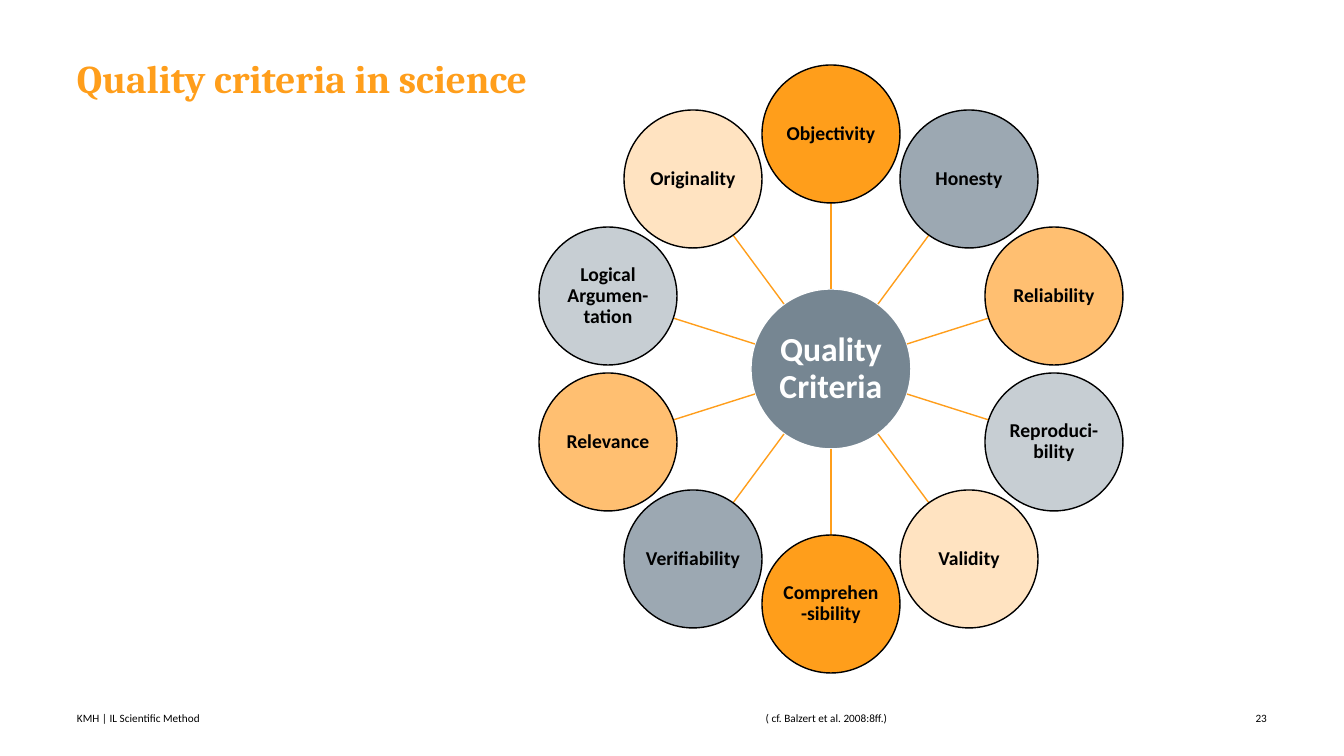
import math

import lxml.etree
import pptx
import pptx.dml.color
import pptx.enum.shapes
import pptx.enum.text
import pptx.oxml.ns
import pptx.util

ALIGN = pptx.enum.text.PP_ALIGN
ANCHOR = pptx.enum.text.MSO_ANCHOR
ORANGE = "FF9E1B"
SLATE = "768692"
BLACK = "000000"
WHITE = "FFFFFF"

CRITERIA = [
    "Objectivity",
    "Honesty",
    "Reliability",
    "Reproduci-bility",
    "Validity",
    "Comprehen-sibility",
    "Verifiability",
    "Relevance",
    "Logical Argumen-tation",
    "Originality",
]
CRITERION_FILLS = [ORANGE, "9CA8B2", "FFBF71", "C7CED3", "FFE3C1"]
CENTER_X, CENTER_Y = 831, 369
RING_RADIUS = 235
HUB_RADIUS = 80
CRITERION_RADIUS = 69


def px(length):
    return pptx.util.Emu(round(length * 12192000 / 1344))


def color(value):
    return pptx.dml.color.RGBColor.from_string(value)


class SlideBuilder:
    body_font = "Calibri"
    title_font = "Cambria"

    def __init__(self, presentation):
        self.slide = presentation.slides.add_slide(presentation.slide_layouts[5])

    def set_text(self, shape, text, size, text_color, align, font=body_font,
                 bold=False, inset=0, anchor=ANCHOR.MIDDLE, spacing=1.0):
        frame = shape.text_frame
        frame.text = text
        frame.word_wrap = True
        frame.auto_size = pptx.enum.text.MSO_AUTO_SIZE.NONE
        frame.vertical_anchor = anchor
        frame.margin_left = frame.margin_right = px(inset)
        frame.margin_top = frame.margin_bottom = px(inset)
        for paragraph in frame.paragraphs:
            paragraph.alignment = align
            paragraph.line_spacing = spacing
            for run in paragraph.runs:
                run.font.name = font
                run.font.size = pptx.util.Pt(size)
                run.font.bold = bold
                run.font.color.rgb = color(text_color)

    def title(self, text, left, top, width, height):
        shape = self.slide.shapes.title
        shape.left, shape.top = px(left), px(top)
        shape.width, shape.height = px(width), px(height)
        self.set_text(shape, text, 28, ORANGE, ALIGN.LEFT, font=self.title_font,
                      bold=True, anchor=ANCHOR.TOP, spacing=0.9)

    def footer(self, text, left, width, align):
        shape = self.slide.shapes.add_textbox(px(left), px(710), px(width), px(16))
        self.set_text(shape, text, 8, BLACK, align)

    def circle(self, text, x, y, radius, fill, line, size, text_color, inset):
        shape = self.slide.shapes.add_shape(
            pptx.enum.shapes.MSO_SHAPE.OVAL,
            px(x - radius), px(y - radius), px(2 * radius), px(2 * radius))
        shape.shadow.inherit = False
        shape.fill.solid()
        shape.fill.fore_color.rgb = color(fill)
        shape.line.color.rgb = color(line)
        shape.line.width = pptx.util.Pt(1)
        self.set_text(shape, text, size, text_color, ALIGN.CENTER,
                      bold=True, inset=inset, spacing=0.9)

    def spoke(self, start, end):
        connector = self.slide.shapes.add_connector(
            pptx.enum.shapes.MSO_CONNECTOR.STRAIGHT,
            *(px(value) for value in (*start, *end)))
        connector.line.color.rgb = color(ORANGE)
        connector.line.width = pptx.util.Pt(1)
        lxml.etree.SubElement(connector.element.spPr,
                              pptx.oxml.ns.qn("a:effectLst"))


def ring_point(index, radius):
    angle = 2 * math.pi * index / len(CRITERIA)
    return (round(CENTER_X + radius * math.sin(angle)),
            round(CENTER_Y - radius * math.cos(angle)))


def main():
    presentation = pptx.Presentation()
    presentation.slide_width = px(1344)
    presentation.slide_height = px(756)
    builder = SlideBuilder(presentation)

    builder.title("Quality criteria in science", 77, 60, 1088, 88)
    builder.circle("Quality Criteria", CENTER_X, CENTER_Y, HUB_RADIUS,
                   SLATE, WHITE, 24, WHITE, 2)
    for index, criterion in enumerate(CRITERIA):
        builder.spoke(ring_point(index, HUB_RADIUS),
                      ring_point(index, RING_RADIUS - CRITERION_RADIUS))
        fill = CRITERION_FILLS[index % len(CRITERION_FILLS)]
        builder.circle(criterion, *ring_point(index, RING_RADIUS),
                       CRITERION_RADIUS, fill, BLACK, 14, BLACK, 1)

    builder.footer("KMH | IL Scientific Method", 77, 563, ALIGN.LEFT)
    builder.footer("( cf. Balzert et al. 2008:8ff.)", 624, 405, ALIGN.CENTER)
    builder.footer("23", 1212, 55, ALIGN.RIGHT)
    presentation.save("out.pptx")


if __name__ == "__main__":
    main()
